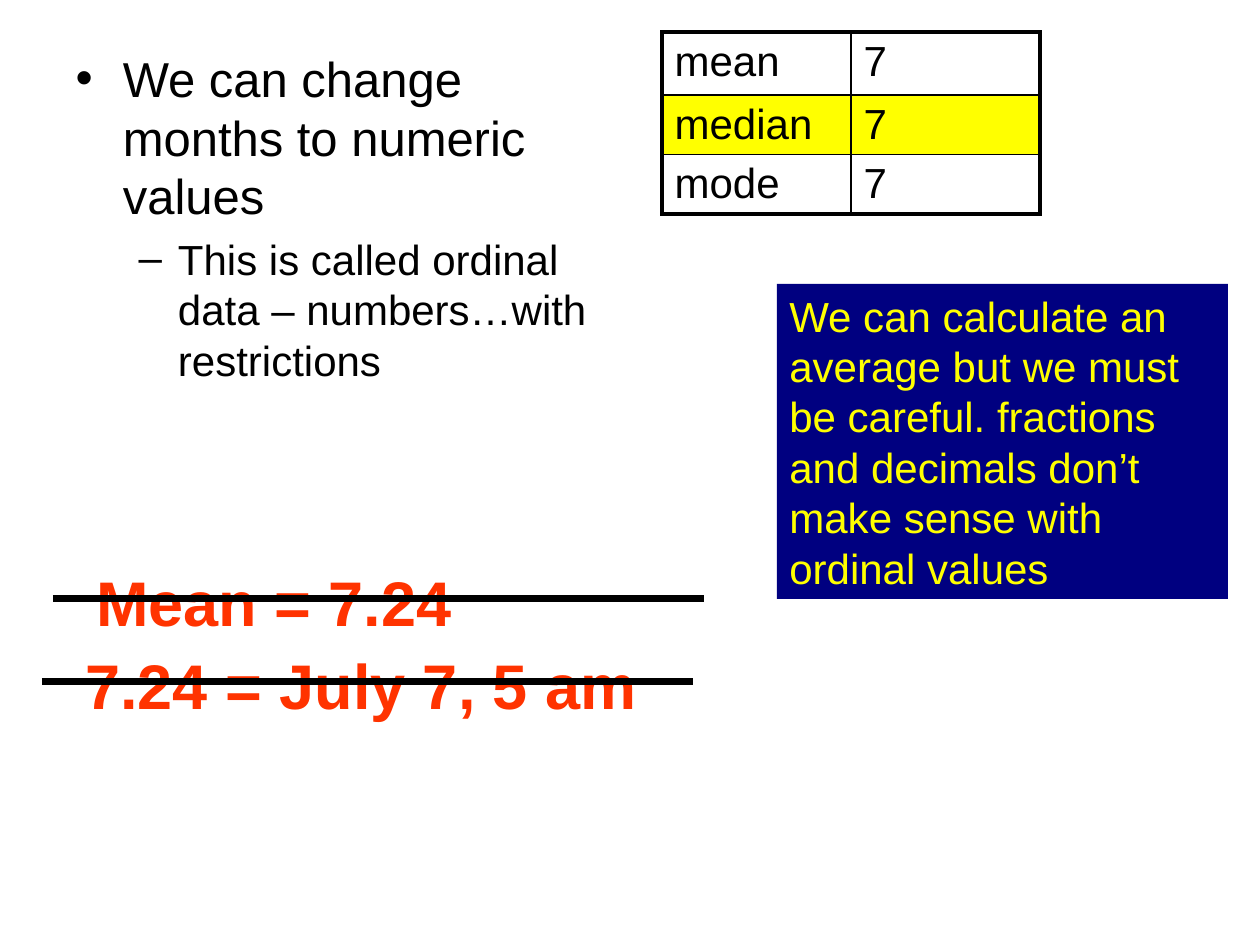
import pptx
import pptx.dml.color
import pptx.enum.shapes
import pptx.enum.text
import pptx.oxml
import pptx.oxml.ns
import pptx.util

EMU_PER_PX = 914400 // 126
COLORS = {
    "black": "000000",
    "white": "FFFFFF",
    "highlight": "FFFF00",
    "navy": "000080",
    "red": "FF3300",
}
OUTER, INNER = 2.25, 1  # table border widths in points


def px(length):
    return pptx.util.Emu(length * EMU_PER_PX)


def rgb(name):
    return pptx.dml.color.RGBColor.from_string(COLORS[name])


class SlideBuilder:
    font_name = "Arial"

    def __init__(self, slide):
        self.slide = slide

    def style(self, paragraph, size, color="black", bold=False):
        font = paragraph.font
        font.name, font.size, font.bold = self.font_name, pptx.util.Pt(size), bold
        font.color.rgb = rgb(color)

    def bullets(self, left, top, width, height, items):
        body = self.slide.placeholders[1]
        body.left, body.top, body.width, body.height = map(px, (left, top, width, height))
        frame = body.text_frame
        frame.auto_size = pptx.enum.text.MSO_AUTO_SIZE.NONE
        frame.text = "\n".join(text for text, _ in items)
        for level, (paragraph, (_, size)) in enumerate(zip(frame.paragraphs, items)):
            paragraph.level = level
            self.style(paragraph, size)

    def box(self, left, top, width, height, text, size, fill, color, bold=False, wrap=True):
        box = self.slide.shapes.add_shape(
            pptx.enum.shapes.MSO_SHAPE.RECTANGLE, *map(px, (left, top, width, height)))
        box.shadow.inherit = False
        box.fill.solid()
        box.fill.fore_color.rgb = rgb(fill)
        box.line.fill.background()
        frame = box.text_frame
        frame.word_wrap = wrap
        frame.auto_size = pptx.enum.text.MSO_AUTO_SIZE.SHAPE_TO_FIT_TEXT
        frame.vertical_anchor = pptx.enum.text.MSO_ANCHOR.TOP
        frame.text = text
        frame.paragraphs[0].alignment = pptx.enum.text.PP_ALIGN.LEFT
        self.style(frame.paragraphs[0], size, color, bold)

    def border(self, cell, side, points):
        cell._tc.get_or_add_tcPr().append(pptx.oxml.parse_xml(
            f'<a:ln{side} {pptx.oxml.ns.nsdecls("a")} w="{pptx.util.Pt(points)}">'
            f'<a:solidFill><a:srgbClr val="{COLORS["black"]}"/></a:solidFill></a:ln{side}>'))

    def table(self, left, top, column_width, row_heights, rows, size, highlighted_row):
        row_count, column_count = len(rows), len(rows[0])
        table = self.slide.shapes.add_table(
            row_count, column_count, px(left), px(top),
            px(column_width * column_count), px(sum(row_heights))).table
        table.first_row = table.horz_banding = False
        for row, height in zip(table.rows, row_heights):
            row.height = px(height)
        for r, values in enumerate(rows):
            for c, value in enumerate(values):
                cell = table.cell(r, c)
                cell.text = value
                self.style(cell.text_frame.paragraphs[0], size)
                outer_edges = {"L": c == 0, "R": c == column_count - 1,
                               "T": r == 0, "B": r == row_count - 1}
                for side, is_outer in outer_edges.items():
                    self.border(cell, side, OUTER if is_outer else INNER)
                if r == highlighted_row:
                    cell.fill.solid()
                    cell.fill.fore_color.rgb = rgb("highlight")
                else:
                    cell.fill.background()

    def strike(self, left, y, length, points):
        line = self.slide.shapes.add_connector(
            pptx.enum.shapes.MSO_CONNECTOR.STRAIGHT,
            px(left), px(y), px(left + length), px(y))
        line.line.color.rgb = rgb("black")
        line.line.width = pptx.util.Pt(points)
        line._element.spPr.append(
            pptx.oxml.parse_xml(f'<a:effectLst {pptx.oxml.ns.nsdecls("a")}/>'))


def main():
    deck = pptx.Presentation()
    deck.slide_width, deck.slide_height = pptx.util.Inches(10), pptx.util.Inches(7.5)
    slide = deck.slides.add_slide(deck.slide_layouts[1])
    title = slide.shapes.title._element
    title.getparent().remove(title)
    builder = SlideBuilder(slide)

    # Main point and its detail
    builder.bullets(63, 42, 557, 624, [
        ("We can change months to numeric values", 28),
        ("This is called ordinal data – numbers…with restrictions", 24),
    ])

    # Averages
    averages = [("mean", "7"), ("median", "7"), ("mode", "7")]
    builder.table(662, 32, 189, (63, 54, 54), averages, 24, highlighted_row=1)

    # Caution
    builder.box(777, 284, 451, 315,
                "We can calculate an average but we must be careful. "
                "fractions and decimals don’t make sense with ordinal values",
                24, "navy", "highlight")

    # Meaningless results, then the lines that strike them out
    results = [(84, 557, 398, "Mean = 7.24"), (73, 640, 577, "7.24 = July 7, 5 am")]
    for left, top, width, text in results:
        builder.box(left, top, width, 88, text, 36, "white", "red", bold=True, wrap=False)
    for left, top, _, _ in reversed(results):
        builder.strike(left - 31, top + 42, 651, 4)

    deck.save("out.pptx")


if __name__ == "__main__":
    main()
